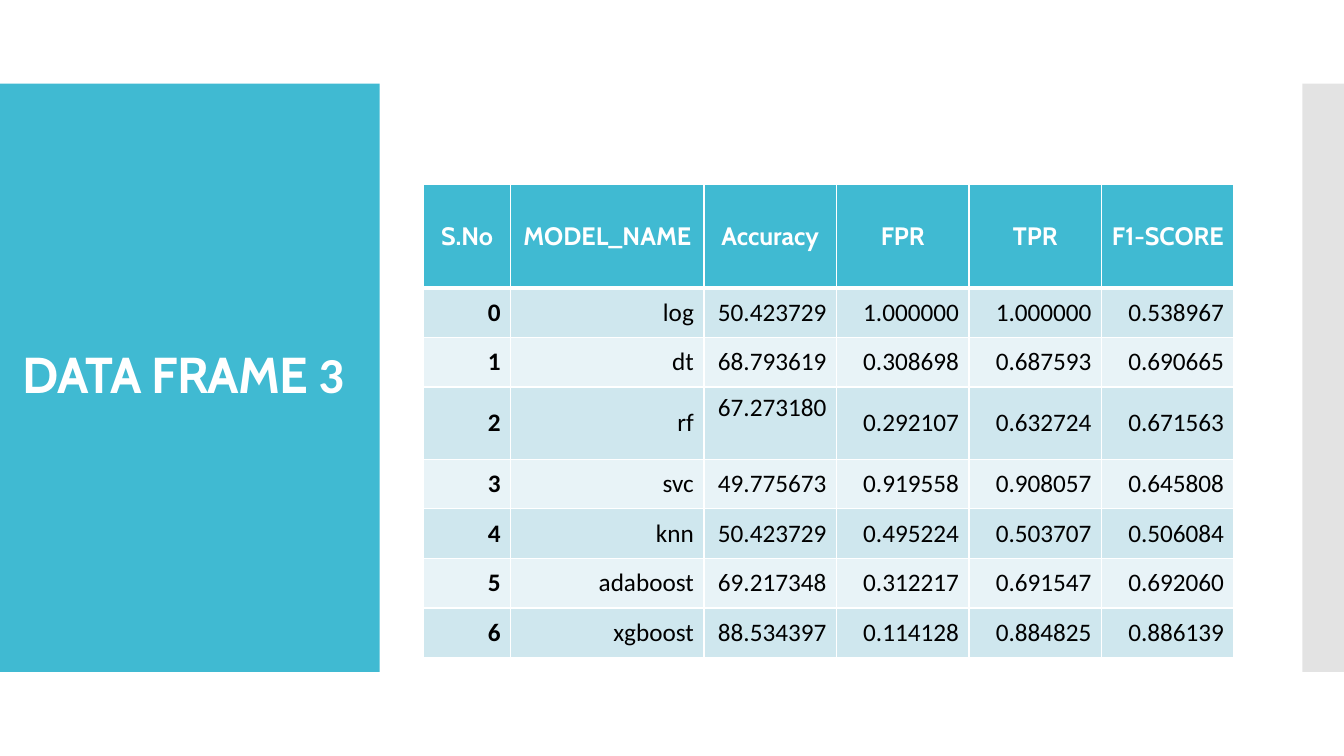
from dataclasses import dataclass

import pptx
import pptx.dml.color
import pptx.enum.shapes
import pptx.enum.text
import pptx.oxml
import pptx.oxml.ns
import pptx.util
from pptx.util import Cm

ALIGN = pptx.enum.text.PP_ALIGN
MIDDLE = pptx.enum.text.MSO_ANCHOR.MIDDLE


@dataclass(frozen=True)
class Theme:
    accent: str = "40BAD2"
    edge: str = "C8C8C8"
    white: str = "FFFFFF"
    black: str = "000000"
    bands: tuple = ("CFE7EE", "E8F3F7")
    heading_font: str = "Cabin"
    body_font: str = "Calibri"
    title_size: int = 36
    table_size: int = 18


THEME = Theme()

HEADINGS = ("S.No", "MODEL_NAME", "Accuracy", "FPR", "TPR", "F1-SCORE")
MODELS = (
    ("log", "50.423729", "1.000000", "1.000000", "0.538967"),
    ("dt", "68.793619", "0.308698", "0.687593", "0.690665"),
    ("rf", "67.273180", "0.292107", "0.632724", "0.671563"),
    ("svc", "49.775673", "0.919558", "0.908057", "0.645808"),
    ("knn", "50.423729", "0.495224", "0.503707", "0.506084"),
    ("adaboost", "69.217348", "0.312217", "0.691547", "0.692060"),
    ("xgboost", "88.534397", "0.114128", "0.884825", "0.886139"),
)
COLUMN_WIDTHS = (2.2, 4.87) + (3.34,) * 4
HEADER_HEIGHT, ROW_HEIGHT, TALL_HEIGHT = 2.6, 1.25, 1.82
TALL_ROW = 3


def rgb(color):
    return pptx.dml.color.RGBColor.from_string(color)


def add_span(para, text, font, size, color, bold=False):
    span = para.add_run()
    span.text = text
    span.font.name = font
    span.font.size = pptx.util.Pt(size)
    span.font.bold = bold
    span.font.color.rgb = rgb(color)
    return span


def add_panel(page, left, width, color, opacity=100):
    panel = page.shapes.add_shape(
        pptx.enum.shapes.MSO_SHAPE.RECTANGLE, Cm(left), Cm(2.11), Cm(width), Cm(14.82))
    panel.shadow.inherit = False
    panel.fill.solid()
    panel.fill.fore_color.rgb = rgb(color)
    panel.line.fill.background()
    if opacity < 100:
        paint = panel.fill._xPr.find(".//" + pptx.oxml.ns.qn("a:srgbClr"))
        alpha = pptx.oxml.parse_xml(
            f'<a:alpha {pptx.oxml.ns.nsdecls("a")} val="{opacity * 1000}"/>')
        paint.append(alpha)


def add_title(page):
    box = page.shapes.add_textbox(Cm(0.33), Cm(3.12), Cm(8.86), Cm(12.78))
    frame = box.text_frame
    frame.word_wrap = True
    frame.vertical_anchor = MIDDLE
    para = frame.paragraphs[0]
    para.line_spacing = 0.9
    for text, font in (("DATA FRAME ", THEME.heading_font), ("3", THEME.body_font)):
        span = add_span(para, text, font, THEME.title_size, THEME.white, bold=True)
        span._r.get_or_add_rPr().set("spc", "-60")


def set_borders(cell, top, bottom):
    """Draw white borders, with widths in points."""
    sides = (("L", 1), ("R", 1), ("T", top), ("B", bottom))
    for place, (side, width) in enumerate(sides):
        line = pptx.oxml.parse_xml(
            f'<a:ln{side} {pptx.oxml.ns.nsdecls("a")} w="{pptx.util.Pt(width)}">'
            f'<a:solidFill><a:srgbClr val="{THEME.white}"/></a:solidFill></a:ln{side}>')
        cell._tc.get_or_add_tcPr().insert(place, line)


def fill_cell(cell, text, fill, align, font, color, bold):
    cell.fill.solid()
    cell.fill.fore_color.rgb = rgb(fill)
    cell.vertical_anchor = MIDDLE
    para = cell.text_frame.paragraphs[0]
    para.alignment = align
    add_span(para, text, font, THEME.table_size, color, bold)


def add_score_table(page):
    heights = [HEADER_HEIGHT] + [ROW_HEIGHT] * len(MODELS)
    heights[TALL_ROW] = TALL_HEIGHT
    table = page.shapes.add_table(
        len(heights), len(HEADINGS), Cm(10.67), Cm(4.65),
        Cm(sum(COLUMN_WIDTHS)), Cm(sum(heights))).table
    table.horz_banding = False
    for column, width in zip(table.columns, COLUMN_WIDTHS):
        column.width = Cm(width)
    for row, height in zip(table.rows, heights):
        row.height = Cm(height)

    # Header row
    for column, heading in enumerate(HEADINGS):
        cell = table.cell(0, column)
        cell.margin_left = cell.margin_right = Cm(0.2)
        fill_cell(cell, heading, THEME.accent, ALIGN.CENTER,
                  THEME.heading_font, THEME.white, True)
        set_borders(cell, top=1, bottom=3)

    # Numbered model rows
    for row, scores in enumerate(MODELS, start=1):
        for column, text in enumerate((str(row - 1),) + scores):
            cell = table.cell(row, column)
            fill_cell(cell, text, THEME.bands[(row - 1) % 2], ALIGN.RIGHT,
                      THEME.body_font, THEME.black, column == 0)
            set_borders(cell, top=3 if row == 1 else 1, bottom=1)

    # The accuracy in the tall row sits above the middle
    table.cell(TALL_ROW, HEADINGS.index("Accuracy")).margin_bottom = Cm(0.9)


def main():
    deck = pptx.Presentation()
    deck.slide_width, deck.slide_height = Cm(33.87), Cm(19.05)
    page = deck.slides.add_slide(deck.slide_layouts[6])

    # Side panels
    add_panel(page, 0, 9.57, THEME.accent)
    add_panel(page, 32.82, 1.05, THEME.edge, opacity=50)

    # Title and scores
    add_title(page)
    add_score_table(page)
    deck.save("out.pptx")


if __name__ == "__main__":
    main()
